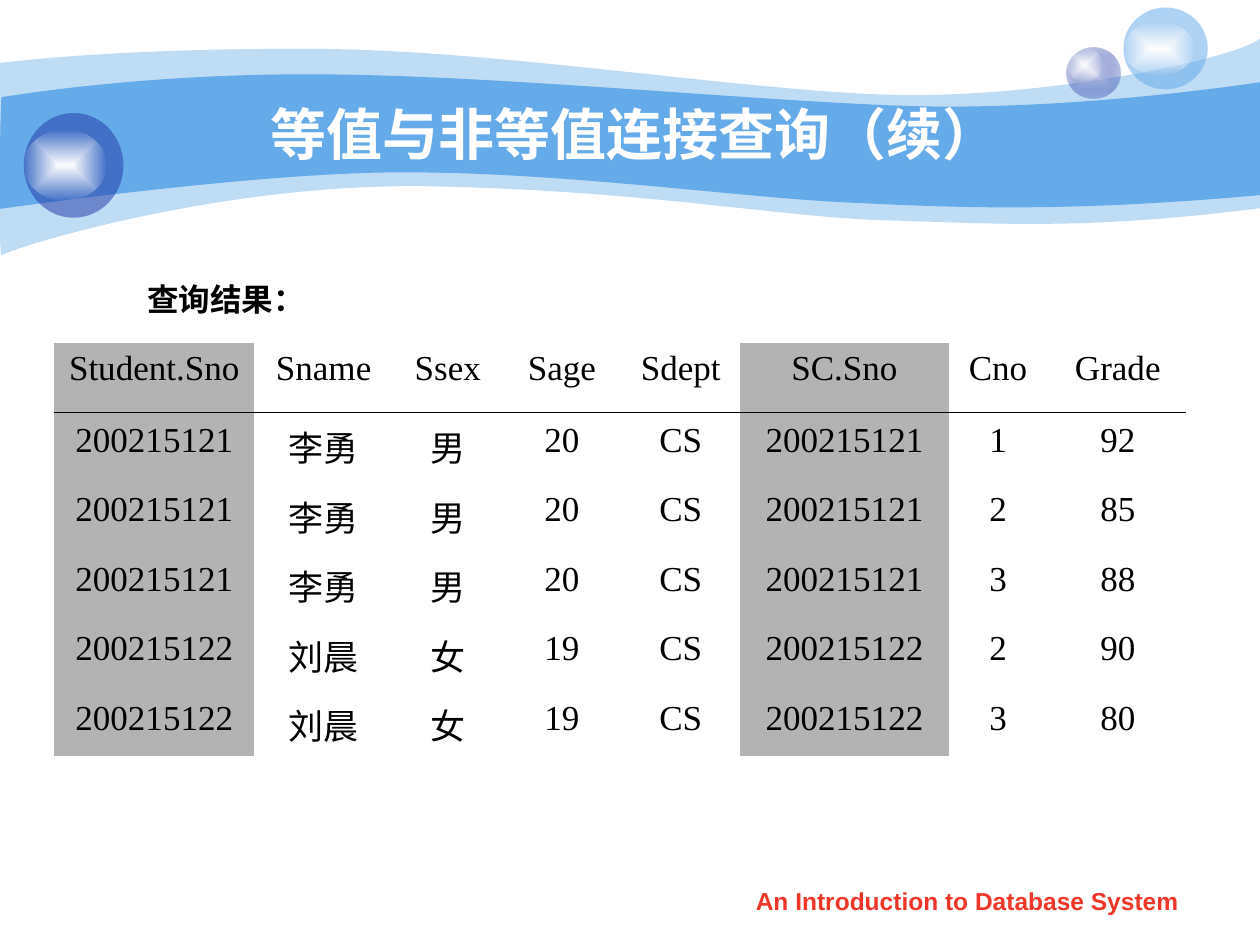
from lxml.etree import SubElement
from pptx import Presentation
from pptx.dml.color import RGBColor
from pptx.enum.shapes import MSO_CONNECTOR, MSO_SHAPE
from pptx.enum.text import MSO_ANCHOR, PP_ALIGN
from pptx.oxml import parse_xml
from pptx.oxml.ns import nsdecls, qn
from pptx.util import Pt

TITLE = "等值与非等值连接查询（续）"
LABEL = "查询结果："
FOOTER = "An Introduction to Database System"
HEADERS = ["Student.Sno", "Sname", "Ssex", "Sage", "Sdept", "SC.Sno", "Cno", "Grade"]
STUDENTS = {
    "200215121": ("李勇", "男", "20", "CS"),
    "200215122": ("刘晨", "女", "19", "CS"),
}
COURSES = [
    ("200215121", "1", "92"),
    ("200215121", "2", "85"),
    ("200215121", "3", "88"),
    ("200215122", "2", "90"),
    ("200215122", "3", "80"),
]
KEY_COLUMNS = {"Student.Sno", "SC.Sno"}
COLUMN_WIDTHS = [114.3, 79.3, 62.6, 67.9, 67.9, 119.2, 56.3, 80.6]
ROW_HEIGHTS = [41, 39.7, 39.7, 39.7, 39.7, 36]
TABLE_LEFT, TABLE_TOP = 31, 196.1
RULE = (31, 235.9, 677.5, 235.9)

THEME = {
    "sky": "65AAE9", "navy": "233DA9", "mist": "C7CEE9", "white": "FFFFFF",
    "black": "000000", "grey": "B3B3B3", "red": "F03628",
    "sans": "Arial", "serif": "Times New Roman",
    "title": 32, "cell": 20, "label": 18, "footer": 14,
}
NO_TABLE_STYLE = "{2D5ABB26-0587-4C30-8999-92F81FD0307C}"
HANGING = 27

WAVES = [
    (41, (0, 36), [
        [(17, 34), (77, 27.5), (178, 28)], [(278, 28), (414, 50.5), (503, 54)],
        [(592, 57.5), (706, 34), (720, 22)], [(720, 119)],
        [(618, 132), (567, 127.5), (508, 126)],
        [(448, 124.5), (371, 109), (247, 106.5)],
        [(124, 104), (3, 143), (1, 146)], [(-1, 150), (0, 54), (0, 36)]]),
    (100, (1, 55.5), [
        [(1.5, 55.5), (79, 42), (178.5, 42.5)],
        [(278, 42.5), (428, 57.5), (517, 60.5)],
        [(605.5, 63.5), (703, 49.5), (720, 47)], [(720, 111.5)],
        [(614, 121), (551, 119), (491, 116)], [(431, 114), (322, 98), (228, 98.5)],
        [(146, 98.5), (-1.5, 119.5), (-1, 119.5)],
        [(0, 119.5), (0, 55.5), (1, 55.5)]]),
]
GLOW = [(0, "white", 100), (100, "white", 0)]
BUBBLES = [
    ((609.8, 27.2, 30.6, 29.1), [(0, "mist", 100), (100, "navy", 31)]),
    ((609.8, 27.2, 20.2, 19.4), GLOW),
    ((642, 4.3, 48.2, 46.8), [(0, "sky", 53)]),
    ((642, 12.2, 40.3, 31), GLOW),
    ((13.6, 64.6, 56.9, 59.8), [(0, "navy", 53)]),
    ((13.6, 74.2, 47.5, 40.3), GLOW),
]


def color(name):
    return RGBColor.from_string(THEME[name])


def paint(shape, name, opacity=100):
    shape.shadow.inherit = False
    shape.line.fill.background()
    shape.fill.solid()
    shape.fill.fore_color.rgb = color(name)
    if opacity < 100:
        tint = shape.fill._xPr.find(qn("a:solidFill"))[0]
        SubElement(tint, qn("a:alpha"), val=str(opacity * 1000))


def paint_gradient(shape, stops):
    paint(shape, stops[0][1])
    marks = "".join(
        f'<a:gs pos="{position * 1000}"><a:srgbClr val="{THEME[name]}">'
        f'<a:alpha val="{opacity * 1000}"/></a:srgbClr></a:gs>'
        for position, name, opacity in stops)
    gradient = parse_xml(
        f'<a:gradFill {nsdecls("a")} rotWithShape="1"><a:gsLst>{marks}</a:gsLst>'
        '<a:path path="rect"><a:fillToRect l="50000" t="50000" r="50000" b="50000"/>'
        '</a:path></a:gradFill>')
    properties = shape.fill._xPr
    properties.replace(properties.find(qn("a:solidFill")), gradient)


def bend(shape, segments):
    outline = next(shape._element.iter(qn("a:path")))
    lines = iter(outline.findall(qn("a:lnTo")))
    for segment in segments:
        first, *others = [next(lines) for _ in segment]
        if others:
            curve = parse_xml(f'<a:cubicBezTo {nsdecls("a")}/>')
            outline.replace(first, curve)
            curve.append(first[0])
            for line in others:
                curve.append(line[0])
                outline.remove(line)


def add_wave(page, opacity, start, segments):
    points = [(Pt(x), Pt(y)) for segment in segments for x, y in segment]
    builder = page.shapes.build_freeform(*map(Pt, start))
    builder.add_line_segments(points, close=True)
    wave = builder.convert_to_shape()
    bend(wave, segments)
    paint(wave, "sky", opacity)


def add_bubble(page, frame, stops):
    bubble = page.shapes.add_shape(MSO_SHAPE.OVAL, *map(Pt, frame))
    if len(stops) == 1:
        paint(bubble, *stops[0][1:])
    else:
        paint_gradient(bubble, stops)


def write(frame, text, face, size, ink, bold=False, hanging=0):
    paragraph = frame.paragraphs[0]
    paragraph.text = text
    paragraph.alignment = PP_ALIGN.CENTER
    paragraph.font.name = THEME[face]
    paragraph.font.size = Pt(THEME[size])
    paragraph.font.bold = bold
    paragraph.font.color.rgb = color(ink)
    if hanging:
        properties = paragraph._p.get_or_add_pPr()
        properties.set("marL", str(Pt(hanging)))
        properties.set("indent", str(Pt(-hanging)))


def add_text(page, frame, *style, wrap=True, anchor=MSO_ANCHOR.TOP, hanging=0):
    box = page.shapes.add_textbox(*map(Pt, frame))
    box.text_frame.word_wrap = wrap
    box.text_frame.vertical_anchor = anchor
    write(box.text_frame, *style, bold=True, hanging=hanging)


def add_result_table(page):
    rows = [HEADERS] + [[number, *STUDENTS[number], number, course, grade]
                        for number, course, grade in COURSES]
    holder = page.shapes.add_table(
        len(rows), len(HEADERS), Pt(TABLE_LEFT), Pt(TABLE_TOP),
        Pt(sum(COLUMN_WIDTHS)), Pt(sum(ROW_HEIGHTS)))
    table = holder.table
    table.first_row = table.horz_banding = False
    table._tbl.tblPr.find(qn("a:tableStyleId")).text = NO_TABLE_STYLE
    for column, width in zip(table.columns, COLUMN_WIDTHS):
        column.width = Pt(width)
    for row, height, values in zip(table.rows, ROW_HEIGHTS, rows):
        row.height = Pt(height)
        for cell, header, value in zip(row.cells, HEADERS, values):
            write(cell.text_frame, value, "serif", "cell", "black", hanging=HANGING)
            if header in KEY_COLUMNS:
                cell.fill.solid()
                cell.fill.fore_color.rgb = color("grey")
            else:
                cell.fill.background()


def add_rule(page):
    rule = page.shapes.add_connector(MSO_CONNECTOR.STRAIGHT, *map(Pt, RULE))
    rule.line.color.rgb = color("black")
    rule.line.width = Pt(0.75)
    SubElement(rule._element.spPr, qn("a:effectLst"))


def main():
    """Build the slide on the result of equi-join and non-equi-join queries."""
    deck = Presentation()
    deck.slide_width, deck.slide_height = Pt(720), Pt(540)
    page = deck.slides.add_slide(deck.slide_layouts[6])
    for wave in WAVES:
        add_wave(page, *wave)
    for bubble in BUBBLES:
        add_bubble(page, *bubble)
    add_text(page, (410.8, 502.5, 284, 25), FOOTER, "sans", "footer", "red")
    add_text(page, (72, 54, 582, 44.6), TITLE, "sans", "title", "white",
             anchor=MSO_ANCHOR.MIDDLE)
    add_result_table(page)
    add_text(page, (50, 156.6, 158.4, 28.8), LABEL, "serif", "label", "black",
             wrap=False, hanging=HANGING)
    add_rule(page)
    deck.save("out.pptx")


if __name__ == "__main__":
    main()
